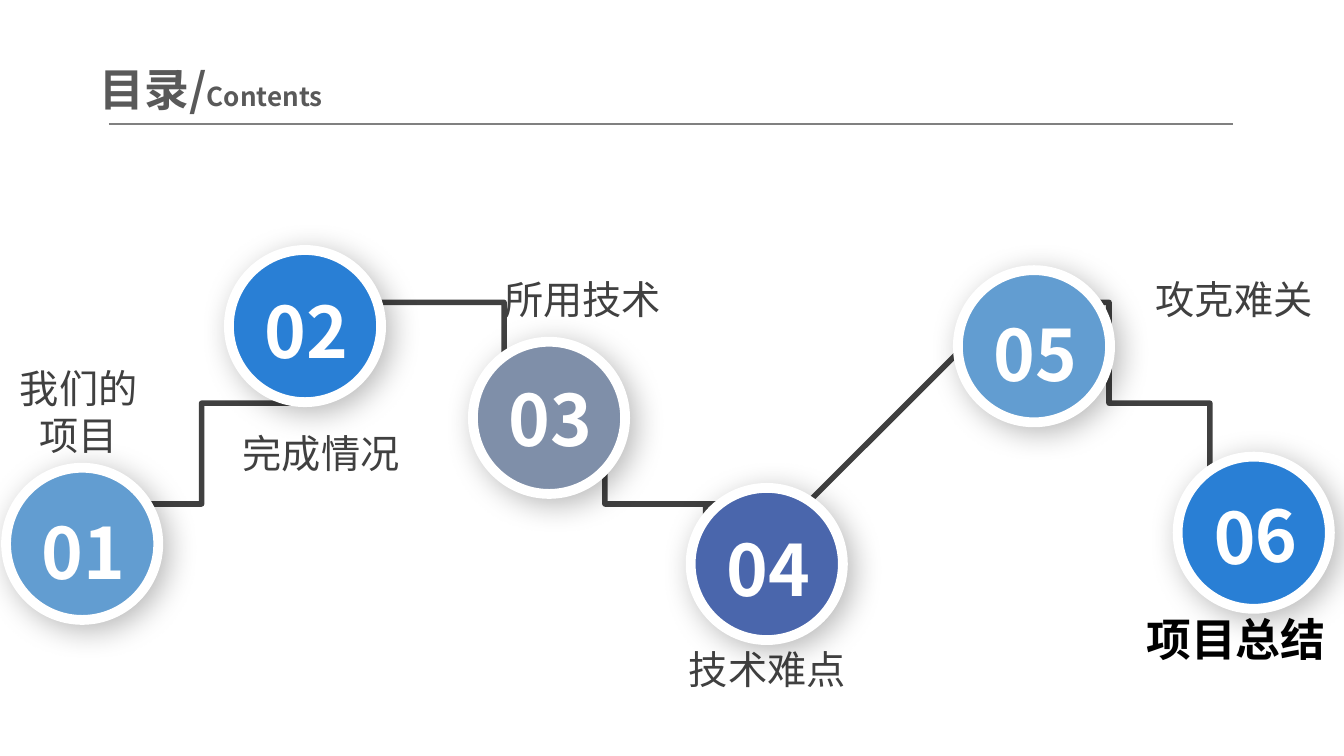
from pptx import Presentation
from pptx.dml.color import RGBColor
from pptx.enum.shapes import MSO_CONNECTOR, MSO_SHAPE
from pptx.enum.text import MSO_ANCHOR, PP_ALIGN
from pptx.oxml import parse_xml
from pptx.oxml.ns import nsdecls
from pptx.util import Inches, Pt

STRAIGHT = MSO_CONNECTOR.STRAIGHT
ELLIPSE = MSO_SHAPE.OVAL
MIDDLE = MSO_ANCHOR.MIDDLE
LEFT, CENTER = PP_ALIGN.LEFT, PP_ALIGN.CENTER
TITLE_ONLY = 5
FONT = "Noto Sans CJK SC"
DARK = "404040"
DIAMETER = 1.51
LINE_HEIGHT = 1.22

SHADOW = (
    f'<a:outerShdw {nsdecls("a")} blurRad="{Pt(22)}" dist="{Pt(6)}" dir="2700000" '
    'algn="tl" rotWithShape="0"><a:srgbClr val="000000"><a:alpha val="28000"/>'
    "</a:srgbClr></a:outerShdw>"
)

START = (1.08, 5.7)
CURVES = [
    ((1.54, 5.28), (2.81, 3.18), (3.86, 3.18)),
    ((4.9, 3.18), (6.76, 5.29), (7.34, 5.7)),
    ((7.92, 6.11), (6.83, 6.06), (7.34, 5.63)),
    ((7.85, 5.19), (9.43, 3.14), (10.41, 3.11)),
    ((11.38, 3.08), (12.61, 4.96), (13.19, 5.44)),
]

LABELS = [
    ("我们的项目", 0.06, 3.56, 1.44, 1.04),
    ("完成情况", 2.23, 4.2, 1.91, 0.57),
    ("所用技术", 4.87, 2.68, 1.82, 0.57),
    ("技术难点", 6.63, 6.35, 1.96, 0.57),
    ("攻克难关", 11.25, 2.68, 1.98, 0.57),
]

STOPS = [
    ("01", 0.06, 4.64, "629DD1", 0.32, 0),
    ("02", 2.27, 2.48, "297FD5", 0.29, 0),
    ("03", 4.69, 3.39, "7F8FA9", 0.25, 0),
    ("04", 6.85, 4.84, "4A66AC", 0.29, 0),
    ("05", 9.5, 2.68, "629DD1", 0.31, 0),
    ("06", 11.68, 4.53, "297FD5", 0.27, 357),
]


def rgb(value):
    return RGBColor.from_string(value)


def add_text(p, text, size=28, color=DARK, bold=False, font=FONT):
    r = p.add_run()
    r.text = text
    r.font.size = Pt(size)
    r.font.bold = bold
    r.font.name = font
    r.font.color.rgb = rgb(color)
    r.font._element.append(parse_xml(f'<a:ea {nsdecls("a")} typeface="{FONT}"/>'))


def bezier(start, curves, steps=24):
    points = []
    for c1, c2, end in curves:
        for i in range(1, steps + 1):
            t = i / steps
            u = 1 - t
            points.append(tuple(
                u**3 * a + 3 * u * u * t * b + 3 * u * t * t * c + t**3 * d
                for a, b, c, d in zip(start, c1, c2, end)))
        start = end
    return points


class Deck:
    def __init__(self):
        self.prs = Presentation()
        self.prs.slide_width = Inches(13.33)
        self.prs.slide_height = Inches(7.5)
        self.s = self.prs.slides.add_slide(self.prs.slide_layouts[TITLE_ONLY])

    def frame(self, sp, size, align):
        tf = sp.text_frame
        tf.word_wrap = True
        tf.vertical_anchor = MIDDLE
        p = tf.paragraphs[0]
        p.alignment = align
        p.line_spacing = Pt(round(size * LINE_HEIGHT))
        return p

    def title(self, heading, subheading, x, y, w, h):
        sp = self.s.shapes.title
        sp.left, sp.top, sp.width, sp.height = map(Inches, (x, y, w, h))
        p = self.frame(sp, 32, LEFT)
        add_text(p, heading, size=32, color="595959", bold=True)
        add_text(p, subheading, size=18.6, color="595959", bold=True)

    def text(self, text, x, y, w, h, align=CENTER, size=28, rotation=0, **style):
        sp = self.s.shapes.add_textbox(*map(Inches, (x, y, w, h)))
        sp.rotation = rotation
        add_text(self.frame(sp, size, align), text, size=size, **style)

    def rule(self, x1, x2, y):
        line = self.s.shapes.add_connector(STRAIGHT, *map(Inches, (x1, y, x2, y)))
        line.line.color.rgb = rgb("808080")
        line.line.width = Pt(1)
        line._element.spPr.append(parse_xml(f'<a:effectLst {nsdecls("a")}/>'))

    def curve(self, start, curves):
        builder = self.s.shapes.build_freeform(*start, scale=Inches(1))
        builder.add_line_segments(bezier(start, curves), close=False)
        sp = builder.convert_to_shape()
        sp.shadow.inherit = False
        sp.fill.background()
        sp.line.color.rgb = rgb(DARK)
        sp.line.width = Pt(4)

    def circle(self, x, y, color):
        sp = self.s.shapes.add_shape(
            ELLIPSE, *map(Inches, (x, y, DIAMETER, DIAMETER)))
        sp.fill.solid()
        sp.fill.fore_color.rgb = rgb(color)
        sp.line.color.rgb = rgb("FFFFFF")
        sp.line.width = Pt(7)
        sp.shadow.inherit = False
        sp._element.spPr.effectLst.append(parse_xml(SHADOW)) if hasattr(
            sp._element.spPr, "effectLst") else None


def main():
    deck = Deck()
    deck.title("目录/", "Contents", 0.89, 0.51, 3.29, 0.73)
    deck.rule(1.08, 12.23, 1.23)
    deck.curve(START, CURVES)
    for label in LABELS:
        deck.text(*label)
    for number, x, y, color, drop, rotation in STOPS:
        deck.circle(x, y, color)
        deck.text(number, x + 0.2, y + drop, 1.14, 1, size=50.6,
                  color="FFFFFF", bold=True, rotation=rotation)
    deck.text("项目总结", 11.27, 6.01, 2.11, 0.64, align=LEFT, size=32,
              color="000000", bold=True, font="Calibri")
    deck.prs.save("out.pptx")


if __name__ == "__main__":
    main()
